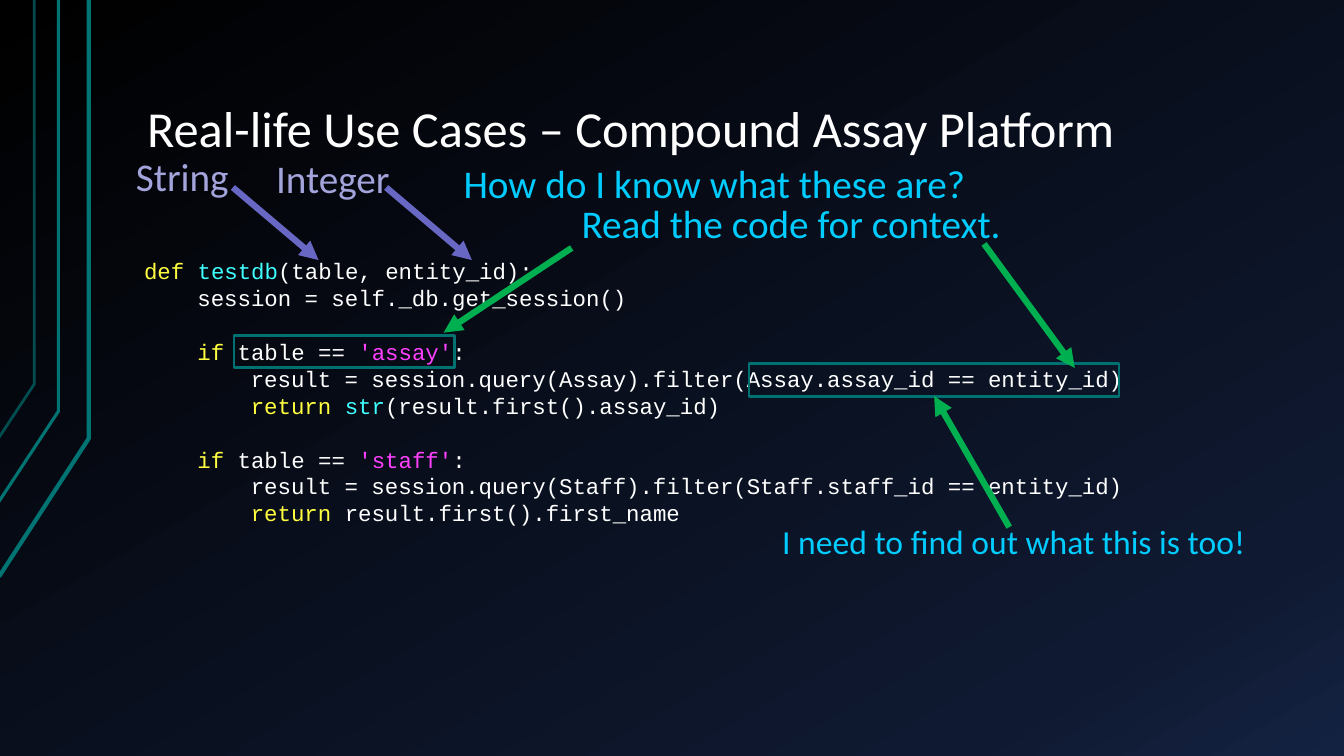
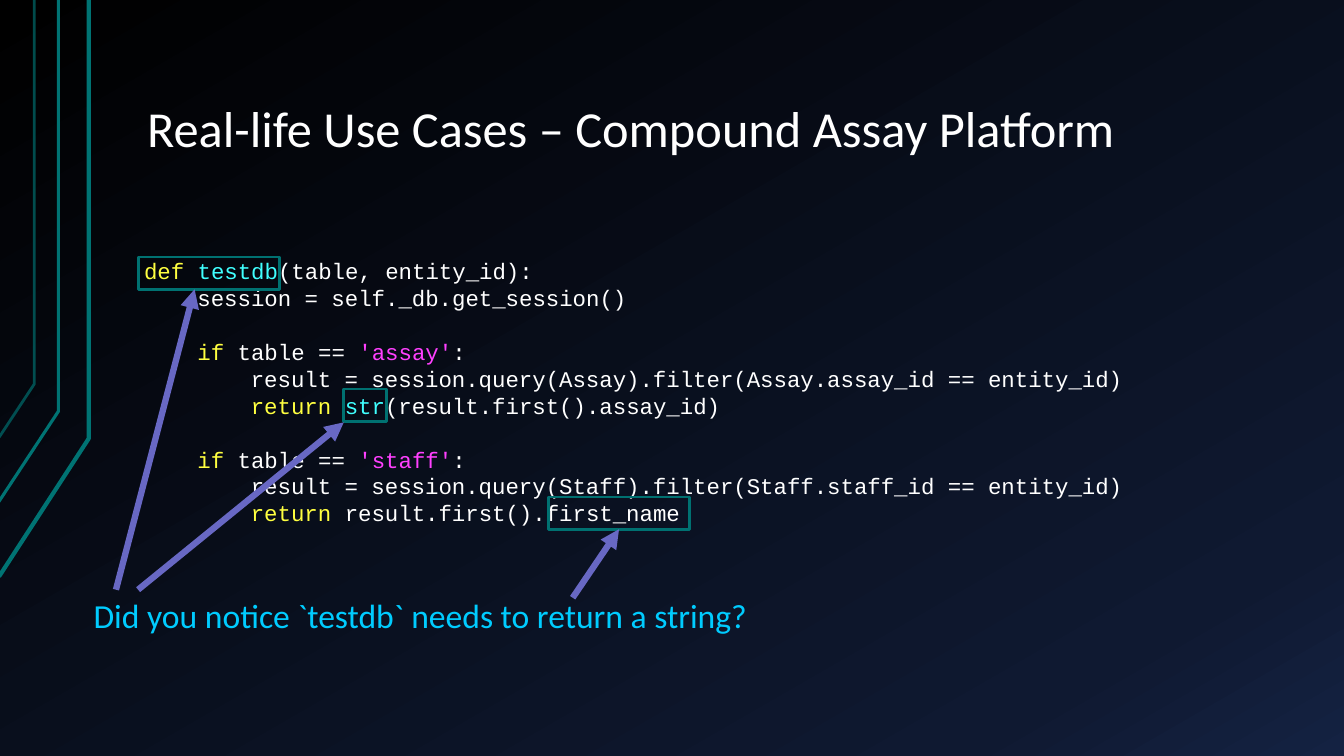
"""Build two annotated code slides about a compound assay platform."""
from copy import deepcopy

from pptx import Presentation
from pptx.dml.color import RGBColor
from pptx.enum.shapes import MSO_CONNECTOR, MSO_SHAPE
from pptx.enum.text import MSO_ANCHOR, MSO_AUTO_SIZE
from pptx.oxml.ns import qn
from pptx.util import Inches, Pt
from lxml.etree import SubElement

WHITE = RGBColor(0xFF, 0xFF, 0xFF)
YELLOW = RGBColor(0xFF, 0xFF, 0x40)
AQUA = RGBColor(0x40, 0xFF, 0xFF)
PINK = RGBColor(0xFF, 0x40, 0xFF)
SKY = RGBColor(0x00, 0xCC, 0xFF)
LAVENDER = RGBColor(0xA4, 0xA4, 0xDC)
VIOLET = RGBColor(0x68, 0x68, 0xC4)
GREEN = RGBColor(0x00, 0xB0, 0x50)
TEAL = RGBColor(0x00, 0x73, 0x73)
FRAME_TEAL = RGBColor(0x00, 0x71, 0x71)
BACKDROP = [
    (0, RGBColor(0x00, 0x00, 0x00)),
    (0.85, RGBColor(0x0F, 0x19, 0x31)),
    (1, RGBColor(0x14, 0x22, 0x42)),
]

TITLE = "Real-life Use Cases – Compound Assay Platform"
TEXT_FONT, CODE_FONT = "Calibri", "Courier New"
CODE_LINE = Pt(19.25)
CODE_INDENT = Inches(0.53)
FRAME_HEIGHT = 0.32

RAILS = [
    ([(-0.01, 5.72), (0.88, 4.35), (0.88, 0)], 3, 100),
    ([(-0.02, 4.99), (0.58, 4.08), (0.58, 0)], 2.25, 100),
    ([(-0.01, 4.34), (0.34, 3.81), (0.34, 0)], 2, 65),
]

CODE = [
    (0, False, [("def ", YELLOW), ("testdb", AQUA), ("(table, entity_id):", WHITE)]),
    (1, False, [("session = self._db.get_session()", WHITE)]),
    (1, True, [("if ", YELLOW), ("table == ", WHITE), ("'assay'", PINK), (":", WHITE)]),
    (2, False, [("result = session.query(Assay).filter(Assay.assay_id == entity_id)", WHITE)]),
    (2, False, [("return ", YELLOW), ("str", AQUA), ("(result.first().assay_id)", WHITE)]),
    (1, True, [("if ", YELLOW), ("table == ", WHITE), ("'staff'", PINK), (":", WHITE)]),
    (2, False, [("result = session.query(Staff).filter(Staff.staff_id == entity_id)", WHITE)]),
    (2, False, [("return ", YELLOW), ("result.first().first_name", WHITE)]),
]

SLIDES = [
    {
        "notes": [
            ("String", 1.25, 1.46, 1.13, 0.57, 28, LAVENDER),
            ("Integer", 2.64, 1.48, 1.34, 0.57, 28, LAVENDER),
            ("How do I know what these are?", 4.5, 1.53, 5.23, 0.57, 28, SKY),
            ("Read the code for context.", 5.67, 1.93, 4.41, 0.57, 28, SKY),
            ("I need to find out what this is too!", 7.66, 5.12, 4.83, 0.5, 24, SKY),
        ],
        "frames": {"assay test": (2.32, 3.33, 2.19), "assay filter": (7.43, 3.61, 3.67)},
        "arrows": [
            ((2.31, 1.86), (3.16, 2.58), VIOLET, None),
            ((3.83, 1.86), (4.68, 2.58), VIOLET, None),
            ((5.67, 2.46), (4.4, 3.3), GREEN, None),
            ((9.76, 2.42), (10.66, 3.65), GREEN, None),
            ((10.01, 5.23), (9.23, 3.94), GREEN, "assay filter"),
        ],
    },
    {
        "notes": [
            ("Did you notice `testdb` needs to return a string?", 0.83, 5.85, 6.74, 0.5, 24, SKY),
        ],
        "frames": {
            "str call": (3.41, 3.86, 0.42),
            "first name": (5.44, 4.93, 1.4),
            "function name": (1.37, 2.55, 1.4),
        },
        "arrows": [
            ((1.37, 5.85), (3.41, 4.19), VIOLET, None),
            ((5.68, 5.93), (6.16, 5.21), VIOLET, "first name"),
            ((1.15, 5.85), (1.93, 2.87), VIOLET, None),
        ],
    },
]


def add_box(page, left, top, width, height, wrap=True):
    """Add an empty text box and return its text frame."""
    box = page.shapes.add_textbox(Inches(left), Inches(top), Inches(width), Inches(height))
    frame = box.text_frame
    frame.word_wrap = wrap
    return frame


def add_span(para, text, font, size, color):
    """Append one styled run to a paragraph."""
    span = para.add_run()
    span.text = text
    span.font.name = font
    span.font.size = Pt(size)
    span.font.color.rgb = color


deck = Presentation()
deck.slide_width, deck.slide_height = Inches(13.33), Inches(7.5)

for content in SLIDES:
    page = deck.slides.add_slide(deck.slide_layouts[6])

    fill = page.background.fill
    fill.gradient()
    fill.gradient_angle = 300
    stops = page.element.xpath(".//a:gsLst")[0]
    stops.append(deepcopy(stops[-1]))
    for stop, (position, color) in zip(fill.gradient_stops, BACKDROP):
        stop.position = position
        stop.color.rgb = color

    for points, weight, opacity in RAILS:
        corners = [(Inches(x), Inches(y)) for x, y in points]
        builder = page.shapes.build_freeform(*corners[0])
        builder.add_line_segments(corners[1:], close=False)
        rail = builder.convert_to_shape()
        rail.shadow.inherit = False
        rail.fill.background()
        rail.line.color.rgb = TEAL
        rail.line.width = Pt(weight)
        if opacity < 100:
            tint = rail.line._ln.find(".//" + qn("a:srgbClr"))
            SubElement(tint, qn("a:alpha"), val=str(opacity * 1000))

    title = add_box(page, 1.33, 0.3, 11.33, 1.34)
    title.vertical_anchor = MSO_ANCHOR.BOTTOM
    title.margin_left = title.margin_right = Inches(0.13)
    title.margin_top = title.margin_bottom = Inches(0.07)
    title.paragraphs[0].line_spacing = 0.9
    add_span(title.paragraphs[0], TITLE, TEXT_FONT, 36, WHITE)

    listing = add_box(page, 1.33, 2.5, 11.92, 2.79)
    for number, (depth, gap, spans) in enumerate(CODE):
        para = listing.add_paragraph() if number else listing.paragraphs[0]
        para.line_spacing = CODE_LINE
        para.space_before = CODE_LINE if gap else Pt(0)
        para._p.get_or_add_pPr().set("marL", str(depth * CODE_INDENT))
        for text, color in spans:
            add_span(para, text, CODE_FONT, 16, color)

    for text, left, top, width, height, size, color in content["notes"]:
        note = add_box(page, left, top, width, height, wrap=False)
        note.auto_size = MSO_AUTO_SIZE.SHAPE_TO_FIT_TEXT
        add_span(note.paragraphs[0], text, TEXT_FONT, size, color)

    frames = {}
    for name, (left, top, width) in content["frames"].items():
        frame = page.shapes.add_shape(
            MSO_SHAPE.RECTANGLE, Inches(left), Inches(top), Inches(width), Inches(FRAME_HEIGHT)
        )
        frame.shadow.inherit = False
        frame.fill.background()
        frame.line.color.rgb = FRAME_TEAL
        frame.line.width = Pt(2)
        frames[name] = frame

    for start, end, color, target in content["arrows"]:
        arrow = page.shapes.add_connector(
            MSO_CONNECTOR.STRAIGHT, *(Inches(value) for value in start + end)
        )
        if target:
            arrow.end_connect(frames[target], 2)
        arrow.line.color.rgb = color
        arrow.line.width = Pt(4.5)
        SubElement(arrow.line._ln, qn("a:tailEnd"), type="triangle")
        SubElement(arrow._element.spPr, qn("a:effectLst"))

deck.save("out.pptx")
